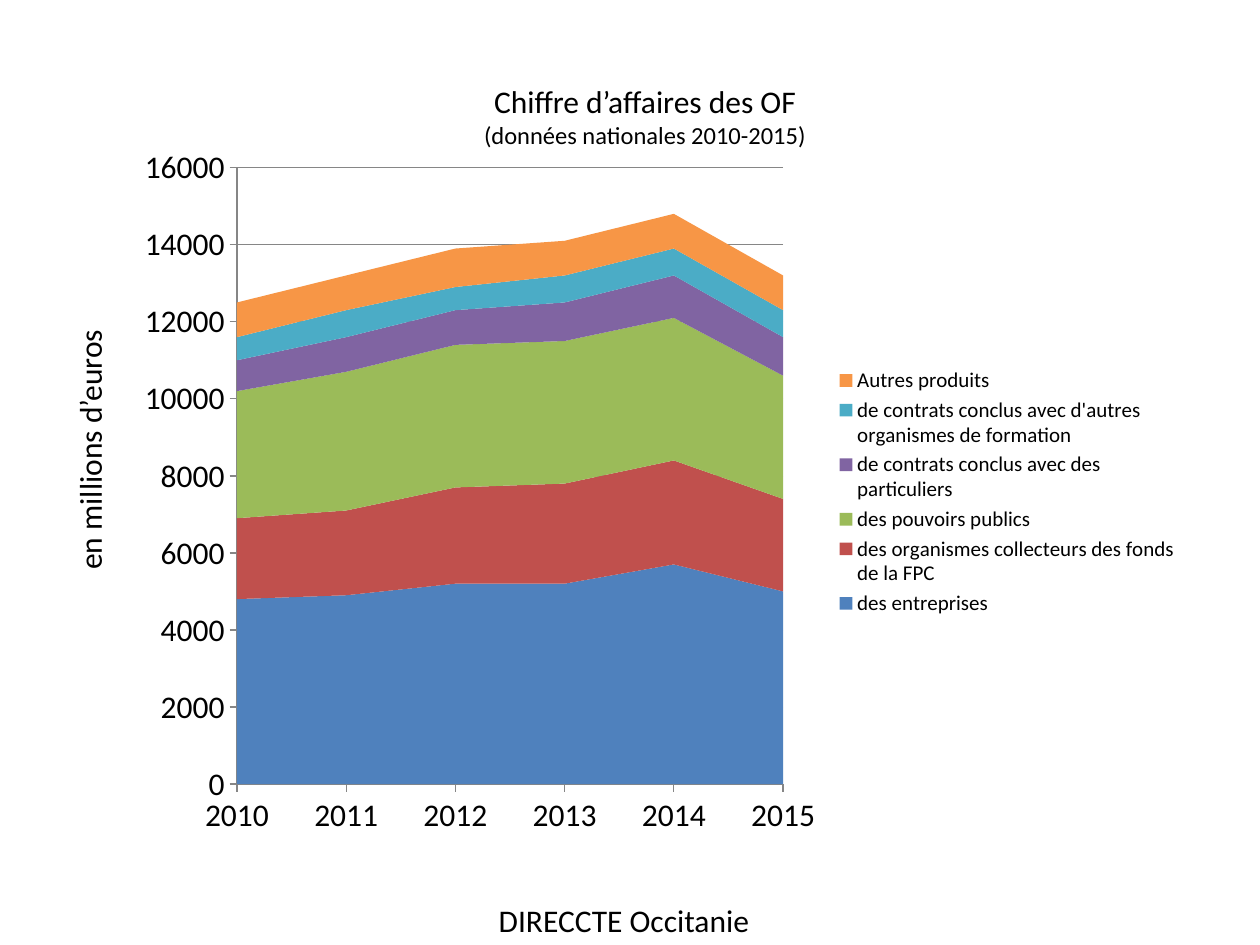
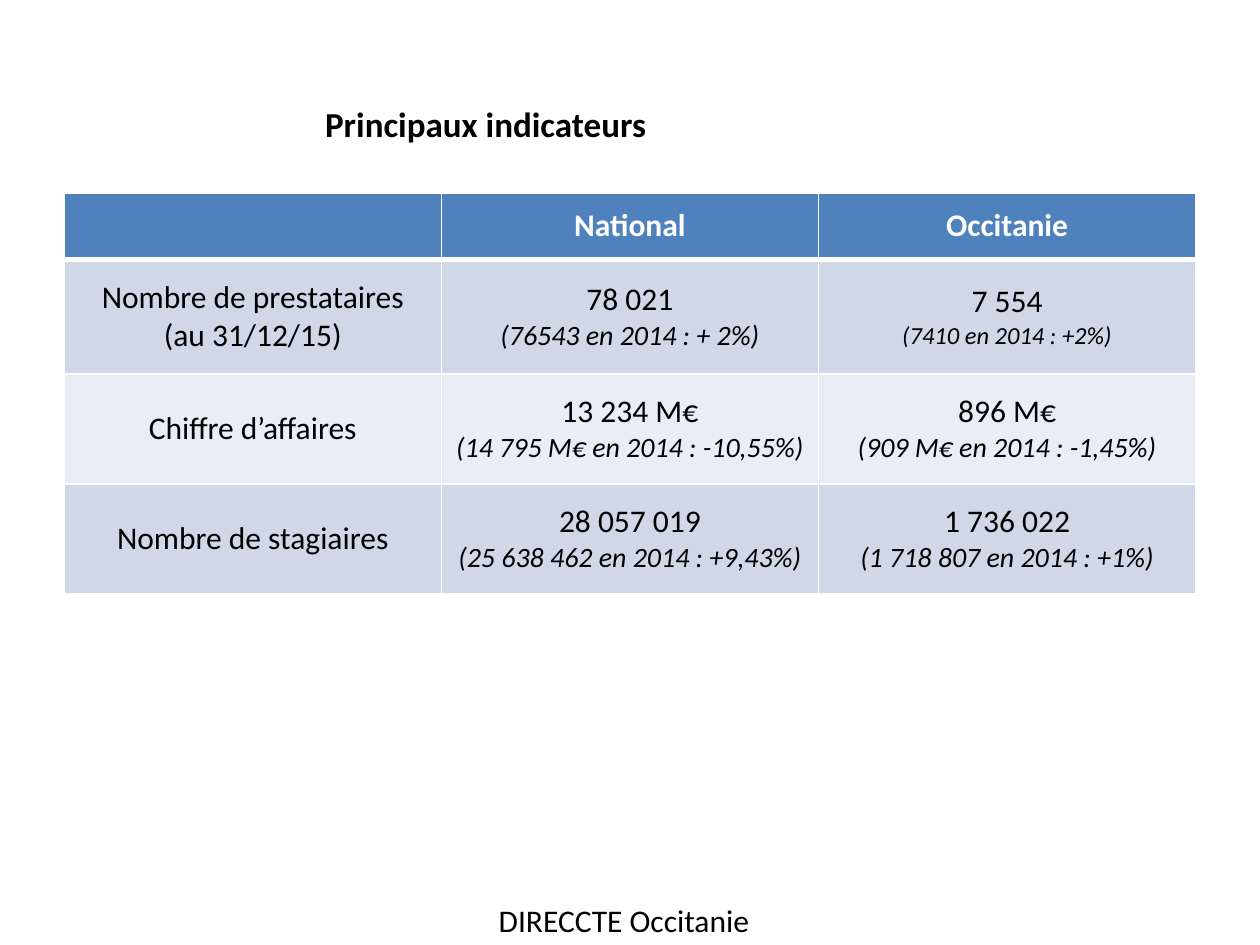
from dataclasses import dataclass

from lxml import etree
from pptx import Presentation
from pptx.chart.data import CategoryChartData
from pptx.dml.color import RGBColor
from pptx.enum.chart import XL_CHART_TYPE, XL_LEGEND_POSITION, XL_TICK_MARK
from pptx.enum.text import MSO_ANCHOR, MSO_AUTO_SIZE, PP_ALIGN
from pptx.oxml import parse_xml
from pptx.oxml.ns import nsdecls, qn
from pptx.util import Inches, Pt


@dataclass(frozen=True)
class Theme:
    font: str = "Calibri"
    text: str = "000000"
    white: str = "FFFFFF"
    axis: str = "868686"
    header: str = "4F81BD"
    bands: tuple = ("D0D8E8", "E9EDF4")
    series: tuple = ("4F81BD", "C0504D", "9BBB59", "8064A2", "4BACC6", "F79646")
    heading: int = 20
    body: int = 18
    detail: int = 16
    small: int = 14
    legend: int = 12


THEME = Theme()
FOOTER = "DIRECCTE Occitanie"

YEARS = ["2010", "2011", "2012", "2013", "2014", "2015"]
REVENUE = {
    "des entreprises": [4800, 4900, 5200, 5200, 5700, 5000],
    "des organismes collecteurs des fonds de la FPC": [2100, 2200, 2500, 2600, 2700, 2400],
    "des pouvoirs publics": [3300, 3600, 3700, 3700, 3700, 3200],
    "de contrats conclus avec des particuliers": [800, 900, 900, 1000, 1100, 1000],
    "de contrats conclus avec d'autres organismes de formation": [600, 700, 600, 700, 700, 700],
    "Autres produits": [900, 900, 1000, 900, 900, 900],
}

# Each cell is a list of paragraphs: (text, size, italic)
HEADERS = ["", "National", "Occitanie"]


def label(*lines):
    return [(line, THEME.body, False) for line in lines]


def figure(value, change, size=THEME.detail):
    return [(value, THEME.body, False), (change, size, True)]


INDICATORS = [
    [label("Nombre de prestataires", "(au 31/12/15)"),
     figure("78 021", "(76543 en 2014 : + 2%)"),
     figure("7 554", "(7410 en 2014 : +2%)", THEME.small)],
    [label("Chiffre d’affaires"),
     figure("13 234 M€", "(14 795 M€ en 2014 : -10,55%)"),
     figure("896 M€", "(909 M€ en 2014 : -1,45%)")],
    [label("Nombre de stagiaires"),
     figure("28 057 019", "(25 638 462 en 2014 : +9,43%)"),
     figure("1 736 022", "(1 718 807 en 2014 : +1%)")],
]


def rgb(value):
    return RGBColor.from_string(value)


def place(sp, box):
    sp.left, sp.top, sp.width, sp.height = (Inches(v) for v in box)


def set_layout(parent, index, box, inner=False):
    """Fix the plot area or legend at fractions of the chart frame."""
    for old in parent.findall(qn("c:layout")):
        parent.remove(old)
    layout = etree.Element(qn("c:layout"))
    manual = etree.SubElement(layout, qn("c:manualLayout"))
    items = [("layoutTarget", "inner")] if inner else []
    items += [("xMode", "edge"), ("yMode", "edge"), *zip("xywh", box)]
    for tag, value in items:
        etree.SubElement(manual, qn(f"c:{tag}")).set("val", str(value))
    parent.insert(index, layout)


def set_borders(cell, color, top=1, bottom=1):
    tcPr = cell._tc.get_or_add_tcPr()
    widths = {"lnL": 1, "lnR": 1, "lnT": top, "lnB": bottom}
    for i, (tag, width) in enumerate(widths.items()):
        tcPr.insert(i, parse_xml(
            f'<a:{tag} {nsdecls("a")} w="{Pt(width)}"><a:solidFill>'
            f'<a:srgbClr val="{color}"/></a:solidFill></a:{tag}>'))


class Deck:
    def __init__(self, theme):
        self.theme = theme
        self.prs = Presentation()
        self.prs.slide_width, self.prs.slide_height = Inches(10), Inches(7.5)
        self.s = None

    def font(self, font, size, color=None, bold=False, italic=False):
        font.name, font.size = self.theme.font, Pt(size)
        font.bold, font.italic = bold, italic
        font.color.rgb = rgb(color or self.theme.text)

    def add_lines(self, tf, lines, align, color=None, bold=False):
        """Fill a text frame, one paragraph per (text, size, italic)."""
        for i, (text, size, italic) in enumerate(lines):
            p = tf.paragraphs[0] if i == 0 else tf.add_paragraph()
            p.alignment = align
            r = p.add_run()
            r.text = text
            self.font(r.font, size, color, bold, italic)

    def slide(self, title, box, align, bold=False):
        """Add a slide with its title and the common footer."""
        self.s = self.prs.slides.add_slide(self.prs.slide_layouts[5])
        sp = self.s.shapes.title
        place(sp, box)
        tf = sp.text_frame
        tf.auto_size, tf.word_wrap = MSO_AUTO_SIZE.NONE, True
        tf.vertical_anchor = MSO_ANCHOR.TOP
        self.add_lines(tf, title, align, bold=bold)
        self.text(FOOTER, (3.86, 7.1, 2.28, 0.4))

    def text(self, text, box, rotation=0):
        sp = self.s.shapes.add_textbox(*(Inches(v) for v in box))
        sp.rotation = rotation
        sp.text_frame.word_wrap = True
        self.add_lines(sp.text_frame, label(text), PP_ALIGN.LEFT)

    def area_chart(self, categories, series, box):
        data = CategoryChartData()
        data.categories = categories
        for name, values in series.items():
            data.add_series(name, values)
        chart = self.s.shapes.add_chart(
            XL_CHART_TYPE.AREA_STACKED, *(Inches(v) for v in box), data).chart
        chart.has_title = False
        self.font(chart.font, self.theme.body)
        for ser, color in zip(chart.plots[0].series, self.theme.series):
            ser.format.fill.solid()
            ser.format.fill.fore_color.rgb = rgb(color)

        value_axis = chart.value_axis
        value_axis.minimum_scale, value_axis.maximum_scale = 0, 16000
        value_axis.major_unit = 2000
        value_axis.has_major_gridlines = True
        for axis in (chart.category_axis, value_axis):
            axis.major_tick_mark = XL_TICK_MARK.OUTSIDE
            axis.minor_tick_mark = XL_TICK_MARK.NONE
            axis.tick_labels.number_format = "0"
            axis.tick_labels.number_format_is_linked = False
        for part in (chart.category_axis, value_axis, value_axis.major_gridlines):
            part.format.line.color.rgb = rgb(self.theme.axis)
            part.format.line.width = Pt(0.75)

        chart.has_legend = True
        chart.legend.position = XL_LEGEND_POSITION.RIGHT
        chart.legend.include_in_layout = False
        self.font(chart.legend.font, self.theme.legend)
        root = chart.element
        for cross in root.iter(qn("c:crossBetween")):
            cross.set("val", "midCat")
        set_layout(next(root.iter(qn("c:plotArea"))), 0, (0.106, 0.046, 0.51, 0.863), inner=True)
        set_layout(next(root.iter(qn("c:legend"))), 1, (0.66, 0.32, 0.33, 0.36))

    def table(self, headers, rows, box, heights):
        table = self.s.shapes.add_table(
            len(rows) + 1, len(headers), *(Inches(v) for v in box)).table
        for col in table.columns:
            col.width = Inches(box[2] / len(headers))
        for row, height in zip(table.rows, heights):
            row.height = Inches(height)
        for c, text in enumerate(headers):
            self.cell(table.cell(0, c), label(text) if text else [], self.theme.header,
                      self.theme.white, bold=True, bottom=3)
        for r, row in enumerate(rows):
            for c, lines in enumerate(row):
                self.cell(table.cell(r + 1, c), lines, self.theme.bands[r % 2],
                          top=1 if r else 3)

    def cell(self, cell, lines, fill, color=None, bold=False, **borders):
        cell.vertical_anchor = MSO_ANCHOR.MIDDLE
        cell.fill.solid()
        cell.fill.fore_color.rgb = rgb(fill)
        set_borders(cell, self.theme.white, **borders)
        self.add_lines(cell.text_frame, lines, PP_ALIGN.CENTER, color, bold)


def main():
    deck = Deck(THEME)

    deck.slide([("Chiffre d’affaires des OF", THEME.body, False),
                ("(données nationales 2010-2015)", THEME.small, False)],
               (1.93, 0.6, 6.38, 0.64), PP_ALIGN.CENTER)
    deck.area_chart(YEARS, REVENUE, (0.98, 1.07, 8.5, 5.67))
    deck.text("en millions d’euros", (-0.63, 3.08, 2.68, 0.4), rotation=270)

    deck.slide([("Principaux indicateurs", THEME.heading, False)],
               (2.48, 0.76, 2.91, 0.44), PP_ALIGN.LEFT, bold=True)
    deck.table(HEADERS, INDICATORS, (0.51, 1.53, 8.98, 3.17), (0.53, 0.91, 0.87, 0.87))

    deck.prs.save("out.pptx")


if __name__ == "__main__":
    main()
